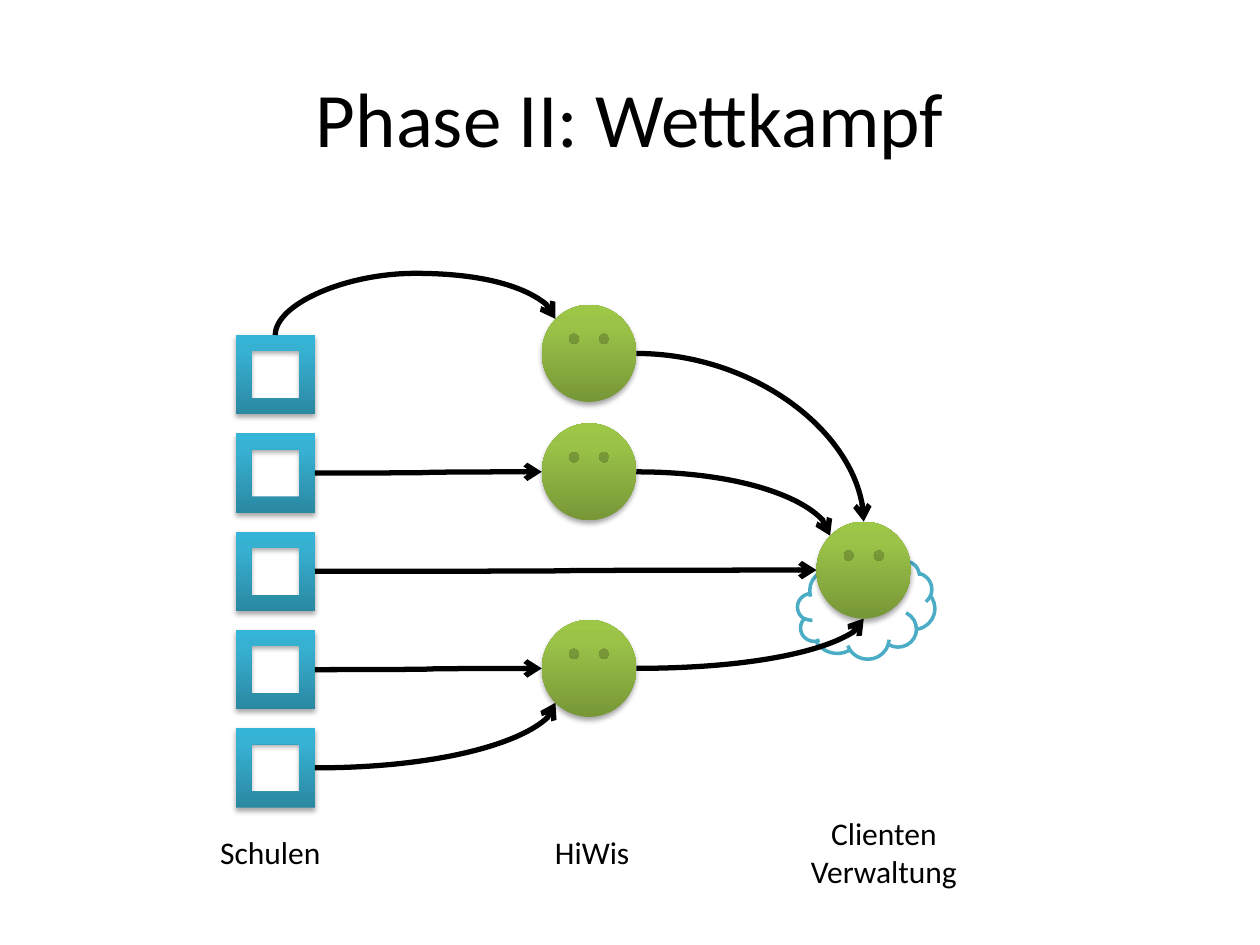
from dataclasses import dataclass
from copy import deepcopy
from pptx import Presentation
from pptx.dml.color import RGBColor
from pptx.enum.shapes import MSO_CONNECTOR as Line, MSO_SHAPE as Shape
from pptx.enum.text import MSO_ANCHOR as Anchor, PP_ALIGN as Align
from pptx.oxml import parse_xml
from pptx.oxml.ns import nsdecls, qn
from pptx.util import Inches, Pt


@dataclass(frozen=True)
class Theme:
    font: str = "Calibri"
    title_size: int = 44
    label_size: int = 18
    ink: str = "000000"
    paper: str = "FFFFFF"
    cloud_line: str = "4BACC6"
    school: tuple = ("2A88A2", "37B1D2", "34B4D6")
    person: tuple = ("779737", "9BC348", "9DC746")


THEME = Theme()
TITLE = ("Phase II: Wettkampf", (0.5, 0.3, 9, 1.25))
LABELS = [
    ("Clienten\nVerwaltung", (6.33, 6.41, 1.37, 0.71)),
    ("HiWis", (4.3, 6.56, 0.8, 0.4)),
    ("Schulen", (1.64, 6.56, 1.01, 0.4)),
]
CLOUD = (6.33, 4.45, 1.09, 0.78)
SCHOOL_LEFT, SCHOOL_TOP, SCHOOL_STEP, SCHOOL_SIDE = 1.87, 2.66, 0.78, 0.63
PERSON_SIZE = (0.75, 0.77)
PEOPLE = {
    "manager": (6.48, 4.14),
    "helper 3": (4.3, 4.92),
    "helper 2": (4.3, 3.36),
    "helper 1": (4.3, 2.42),
}
SIDES = {
    "top": (0, -1), "left": (-1, 0), "bottom": (0, 1), "right": (1, 0),
    "top left": (-0.71, -0.71), "bottom left": (-0.71, 0.71),
}
FLAT_ARROWS = [("school 2", "helper 2"), ("school 3", "manager"), ("school 4", "helper 3")]
BENT_ARROWS = [
    ("school 5", "helper 3", "bottom left"),
    ("helper 1", "manager", "top"),
    ("helper 2", "manager", "top left"),
    ("helper 3", "manager", "bottom"),
]
ARCH_RISE = 0.49


def color(value):
    return RGBColor.from_string(value)


def add_text(slide, text, box, size, wrap):
    frame = slide.shapes.add_textbox(*map(Inches, box)).text_frame
    frame.word_wrap = wrap
    frame.vertical_anchor = Anchor.MIDDLE if wrap else Anchor.TOP
    frame.text = text
    for paragraph in frame.paragraphs:
        paragraph.alignment = Align.CENTER
        paragraph.font.name = THEME.font
        paragraph.font.size = Pt(size)
        paragraph.font.color.rgb = color(THEME.ink)


def add_node(slide, kind, box, colors, adjustment):
    shape = slide.shapes.add_shape(kind, *map(Inches, box))
    shape.adjustments[0] = adjustment
    shape.line.fill.background()
    shape.fill.gradient()
    first_stop = next(shape._element.spPr.iter(qn("a:gs")))
    first_stop.addnext(deepcopy(first_stop))
    for stop, position, value in zip(shape.fill.gradient_stops, (0, 0.8, 1), colors):
        stop.position = position
        stop.color.rgb = color(value)
    shape.fill.gradient_angle = 90
    shape.shadow.inherit = False
    shape._element.spPr.find(qn("a:effectLst")).append(parse_xml(
        f'<a:outerShdw {nsdecls("a")} blurRad="{Pt(3.1)}" dist="{Pt(1.8)}" dir="5400000" '
        f'rotWithShape="0"><a:srgbClr val="{THEME.ink}"><a:alpha val="35000"/></a:srgbClr>'
        '</a:outerShdw>'))
    return shape


def point(shape, side):
    across, down = SIDES[side]
    return (int(shape.left + shape.width * (1 + across) / 2),
            int(shape.top + shape.height * (1 + down) / 2))


def add_arrow(slide, begin, end):
    arrow = slide.shapes.add_connector(Line.CURVE, *begin, *end)
    arrow.line.color.rgb = color(THEME.ink)
    arrow.line.width = Pt(3)
    properties = arrow._element.spPr
    properties.find(qn("a:ln")).append(parse_xml(f'<a:tailEnd {nsdecls("a")} type="arrow"/>'))
    properties.append(parse_xml(f'<a:effectLst {nsdecls("a")}/>'))
    return arrow


def add_arch(slide, begin, end, rise):
    middle_x, middle_y = (begin[0] + end[0]) // 2, (begin[1] + end[1]) // 2
    half_width, half_height = abs(begin[1] - end[1]) // 2, abs(end[0] - begin[0]) // 2
    arrow = add_arrow(slide, (middle_x + half_width, middle_y + half_height),
                      (middle_x - half_width, middle_y - half_height))
    properties = arrow._element.spPr
    properties.find(qn("a:xfrm")).set("rot", "5400000")
    bend = round(rise / (2 * half_width) * 100000)
    guides = properties.find(qn("a:prstGeom")).find(qn("a:avLst"))
    guides.append(parse_xml(f'<a:gd {nsdecls("a")} name="adj1" fmla="val {bend}"/>'))


def main():
    """Build the competition phase slide."""
    presentation = Presentation()
    presentation.slide_width, presentation.slide_height = Inches(10), Inches(7.5)
    slide = presentation.slides.add_slide(presentation.slide_layouts[6])

    cloud = slide.shapes.add_shape(Shape.CLOUD, *map(Inches, CLOUD))
    cloud.shadow.inherit = False
    cloud.fill.solid()
    cloud.fill.fore_color.rgb = color(THEME.paper)
    cloud.line.color.rgb = color(THEME.cloud_line)
    cloud.line.width = Pt(2)
    add_text(slide, *TITLE, THEME.title_size, True)

    nodes = {}
    for index in range(5):
        box = (SCHOOL_LEFT, SCHOOL_TOP + index * SCHOOL_STEP, SCHOOL_SIDE, SCHOOL_SIDE)
        nodes[f"school {index + 1}"] = add_node(slide, Shape.FRAME, box, THEME.school, 0.2)
    for name, place in PEOPLE.items():
        nodes[name] = add_node(slide, Shape.SMILEY_FACE, place + PERSON_SIZE, THEME.person, 0.05)

    add_arch(slide, point(nodes["school 1"], "top"), point(nodes["helper 1"], "top left"),
             Inches(ARCH_RISE))
    for source, target in FLAT_ARROWS:
        begin, end = point(nodes[source], "right"), point(nodes[target], "left")
        add_arrow(slide, begin, end).begin_connect(nodes[source], 3)
    for source, target, side in BENT_ARROWS:
        arrow = add_arrow(slide, point(nodes[source], "right"), point(nodes[target], side))
        arrow._element.spPr.find(qn("a:prstGeom")).set("prst", "curvedConnector2")

    for text, box in LABELS:
        add_text(slide, text, box, THEME.label_size, False)
    presentation.save("out.pptx")


if __name__ == "__main__":
    main()
